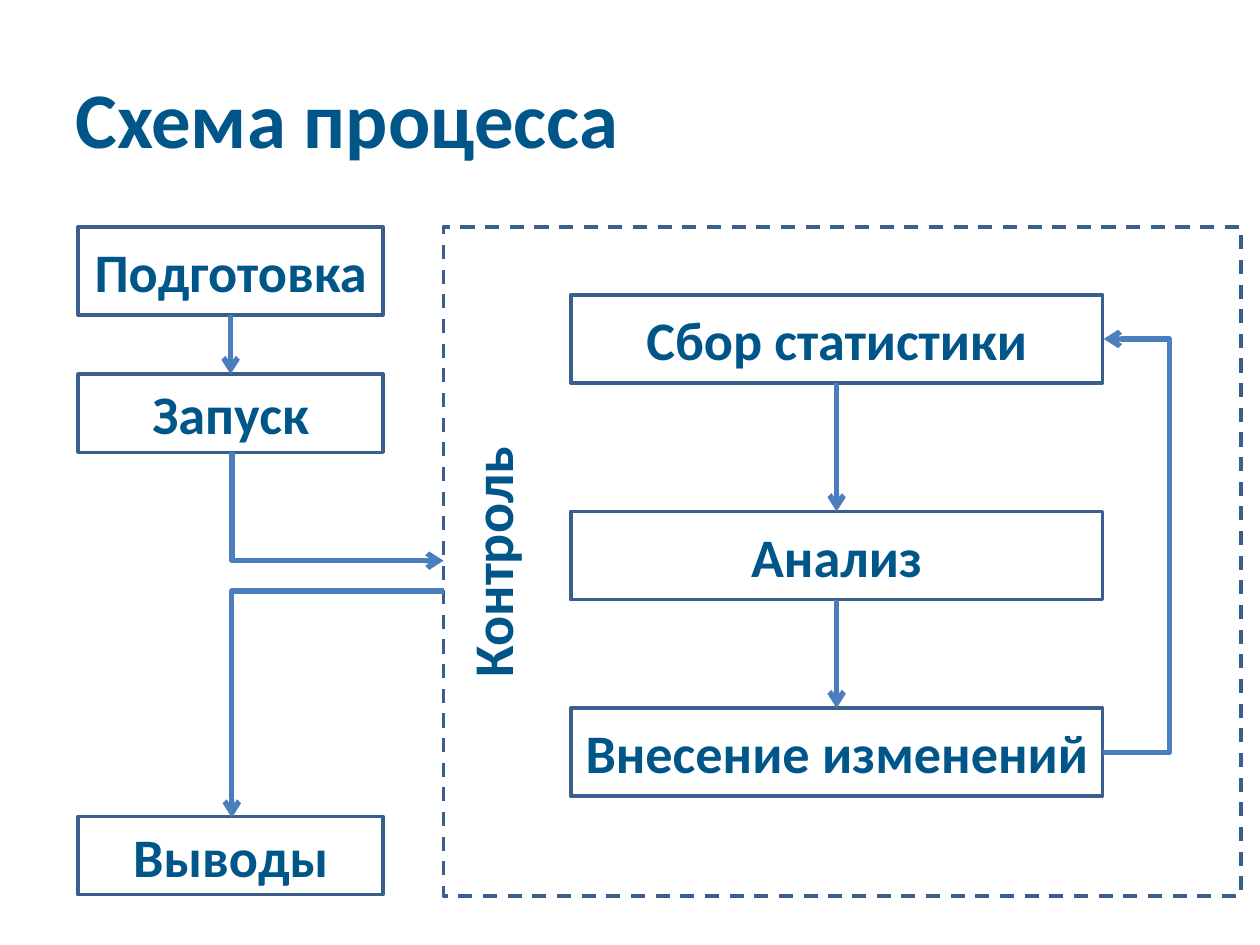
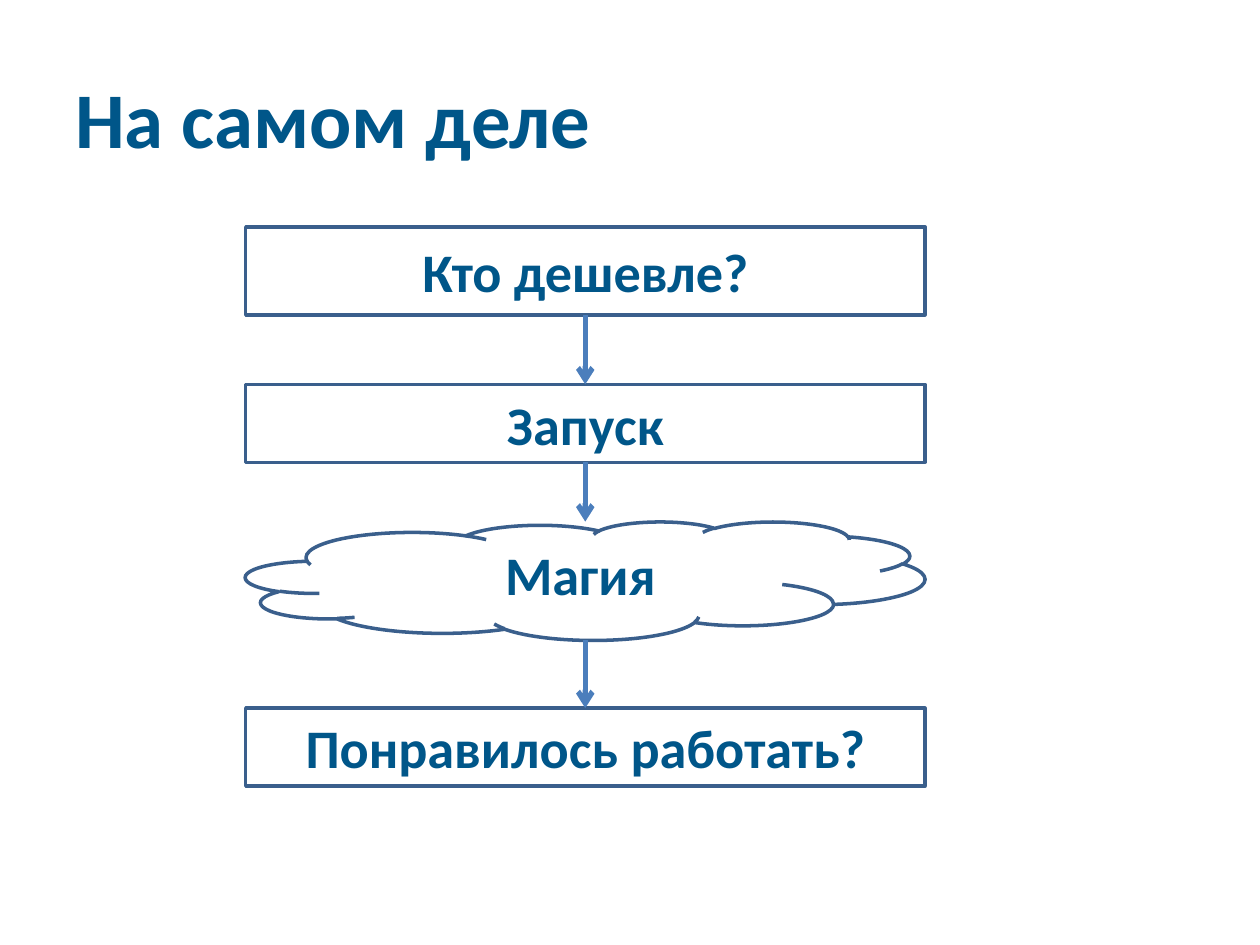
from dataclasses import dataclass

from lxml import etree
from pptx import Presentation
from pptx.dml.color import RGBColor
from pptx.enum.dml import MSO_LINE
from pptx.enum.shapes import MSO_CONNECTOR, MSO_SHAPE
from pptx.enum.text import MSO_ANCHOR, PP_ALIGN
from pptx.oxml.ns import qn
from pptx.util import Inches, Pt

RECT, CLOUD = MSO_SHAPE.RECTANGLE, MSO_SHAPE.CLOUD
STRAIGHT, ELBOW = MSO_CONNECTOR.STRAIGHT, MSO_CONNECTOR.ELBOW
LEFT, CENTER = PP_ALIGN.LEFT, PP_ALIGN.CENTER
TOP, MIDDLE = MSO_ANCHOR.TOP, MSO_ANCHOR.MIDDLE
DASH = MSO_LINE.DASH


@dataclass(frozen=True)
class Theme:
    font: str = "Calibri"
    ink: RGBColor = RGBColor(0x00, 0x56, 0x89)
    edge: RGBColor = RGBColor(0x3A, 0x5F, 0x8C)
    arrow: RGBColor = RGBColor(0x4B, 0x7E, 0xBC)
    title: int = 45
    body: int = 31
    side: int = 32
    thin: int = 2
    thick: int = 3


class Deck:
    def __init__(self, theme):
        self.theme = theme
        self.prs = Presentation()
        self.prs.slide_width, self.prs.slide_height = Inches(10), Inches(7.5)
        self.slide = None

    def page(self, title):
        self.slide = self.prs.slides.add_slide(self.prs.slide_layouts[6])
        self.label(title, (0.5, 0.3, 9, 1.25), self.theme.title, MIDDLE, wrap=True)

    def fill_text(self, frame, text, size, align, anchor):
        frame.vertical_anchor = anchor
        para = frame.paragraphs[0]
        para.text, para.alignment = text, align
        font = para.font
        font.name, font.size, font.bold = self.theme.font, Pt(size), True
        font.color.rgb = self.theme.ink

    def label(self, text, at, size, anchor=TOP, align=LEFT, wrap=False, turn=0):
        box = self.slide.shapes.add_textbox(*map(Inches, at))
        box.rotation = turn
        box.text_frame.word_wrap = wrap
        self.fill_text(box.text_frame, text, size, align, anchor)

    def box(self, at, text=None, kind=RECT, dash=None):
        """Draw a hollow outline, with centred text if given."""
        shape = self.slide.shapes.add_shape(kind, *map(Inches, at))
        shape.shadow.inherit = False
        shape.fill.background()
        shape.line.color.rgb = self.theme.edge
        shape.line.width = Pt(self.theme.thin)
        if dash:
            shape.line.dash_style = dash
        if text:
            frame = shape.text_frame
            frame.margin_left = frame.margin_right = 0
            self.fill_text(frame, text, self.theme.body, CENTER, MIDDLE)
        return at

    def arrow(self, start, end, kind=STRAIGHT):
        link = self.slide.shapes.add_connector(kind, *map(Inches, start + end))
        link.line.color.rgb = self.theme.arrow
        link.line.width = Pt(self.theme.thick)
        props = link._element.spPr
        etree.SubElement(props.find(qn("a:ln")), qn("a:tailEnd"), type="arrow")
        etree.SubElement(props, qn("a:effectLst"))
        return props

    def drop(self, top, low):
        """Join the bottom of one box to the top of the next."""
        mid = top[0] + top[2] / 2
        self.arrow((mid, top[1] + top[3]), (mid, low[1]))

    def bend(self, at, kind, turn=0, flip=None, adjust=None):
        """Draw an elbow arrow, given its frame before turning."""
        x, y, w, h = at
        props = self.arrow((x, y), (x + w, y + h), ELBOW)
        frame = props.find(qn("a:xfrm"))
        frame.set("rot", str(turn * 60000))
        if flip:
            frame.set(flip, "1")
        geom = props.find(qn("a:prstGeom"))
        geom.set("prst", kind)
        if adjust is not None:
            guides = geom.find(qn("a:avLst"))
            etree.SubElement(guides, qn("a:gd"), name="adj1",
                             fmla=f"val {round(adjust * 100000)}")


def process(deck):
    deck.page("Схема процесса")

    # Left column
    left, width, low = 0.62, 2.42, 0.62
    prep = deck.box((left, 1.8, width, 0.7), "Подготовка")
    launch = deck.box((left, 2.97, width, low), "Запуск")
    deck.box((left, 6.48, width, low), "Выводы")
    deck.drop(prep, launch)

    # Control loop
    deck.box((3.52, 1.8, 6.33, 5.31), dash=DASH)
    deck.label("Контроль", (2.88, 4.14, 2.04, 0.64), deck.theme.side,
               align=CENTER, turn=270)
    steps = [deck.box((4.53, top, 4.22, 0.7), text) for top, text in (
        (2.34, "Сбор статистики"), (4.06, "Анализ"), (5.62, "Внесение изменений"))]
    for pair in zip(steps, steps[1:]):
        deck.drop(*pair)

    # Arrows into, out of and around the loop
    deck.bend((2.25, 3.18, 0.86, 1.68), "bentConnector2", 270, "flipH")
    deck.bend((1.78, 4.75, 1.8, 1.68), "bentConnector3", 90, adjust=0)
    deck.bend((8.75, 2.69, 0.01, 3.28), "bentConnector3", flip="flipV", adjust=54)


def reality(deck):
    deck.page("На самом деле")

    # Steps from top to bottom
    left, width, low = 1.95, 5.39, 0.62
    steps = [
        deck.box((left, 1.8, width, 0.7), "Кто дешевле?"),
        deck.box((left, 3.05, width, low), "Запуск"),
        deck.box((left, 4.14, width, 0.94), kind=CLOUD),
        deck.box((left, 5.62, width, low), "Понравилось работать?"),
    ]
    deck.label("Магия", (3.91, 4.25, 1.41, 0.91), deck.theme.body)
    for pair in zip(steps, steps[1:]):
        deck.drop(*pair)


def main():
    deck = Deck(Theme())
    process(deck)
    reality(deck)
    deck.prs.save("out.pptx")


if __name__ == "__main__":
    main()
